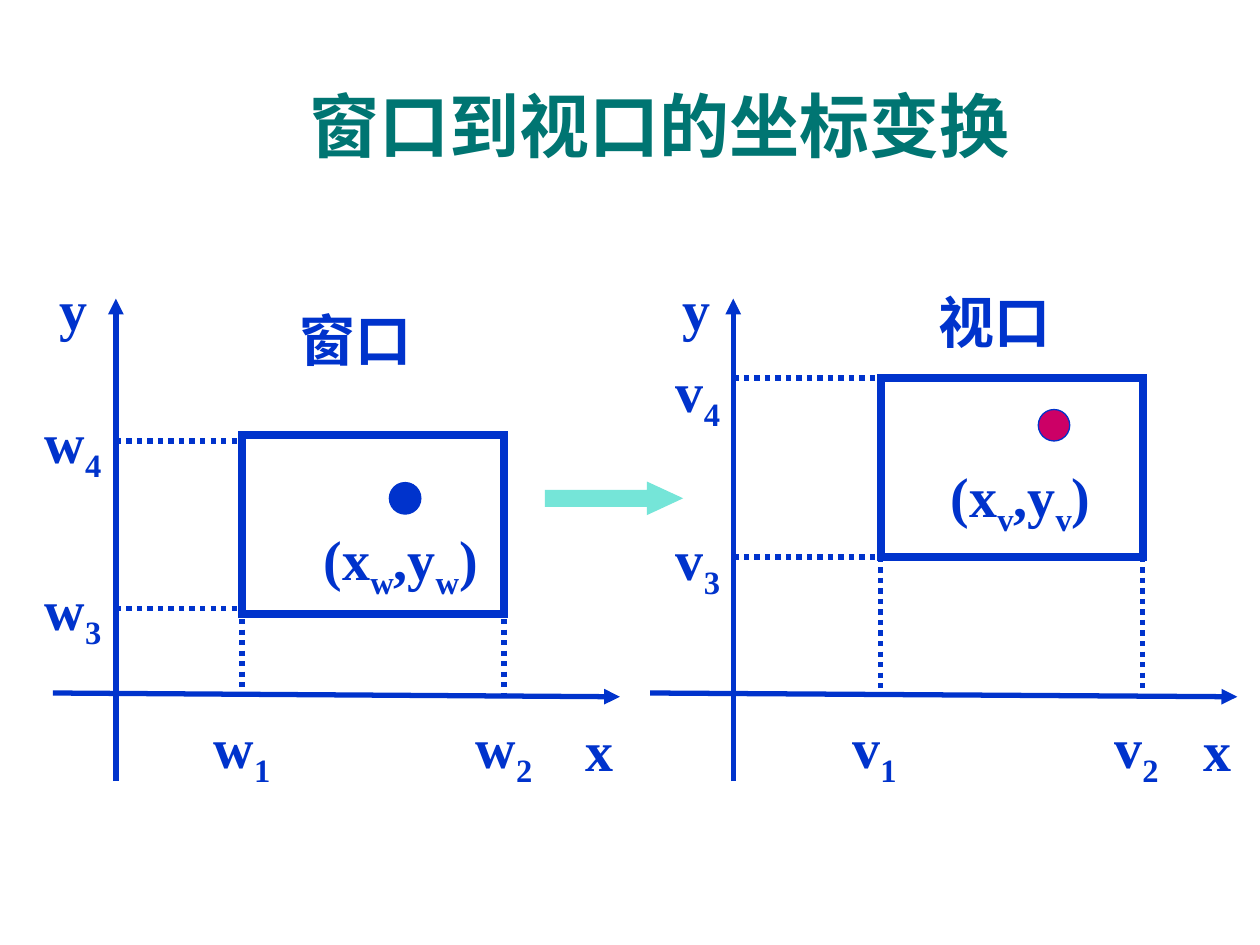
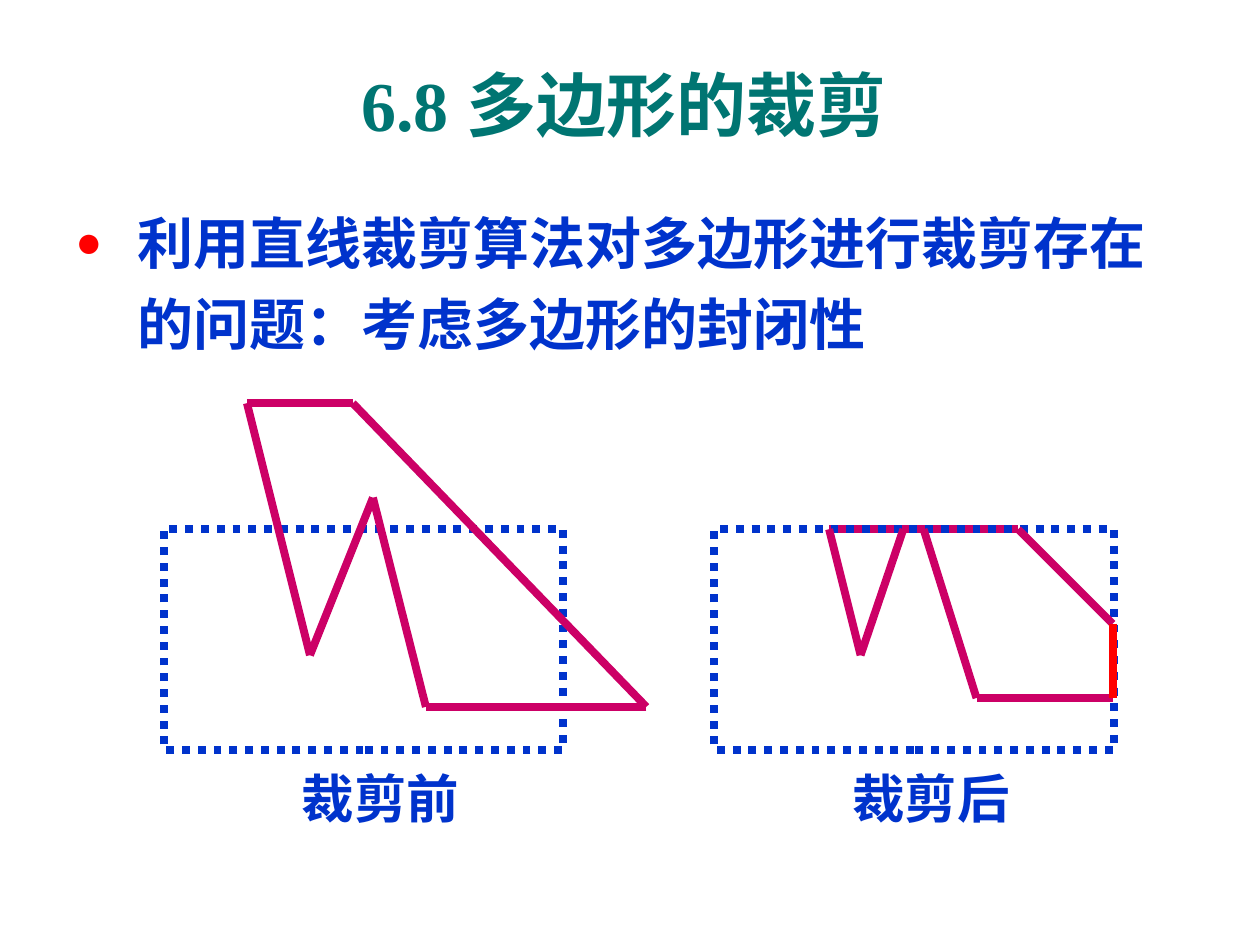
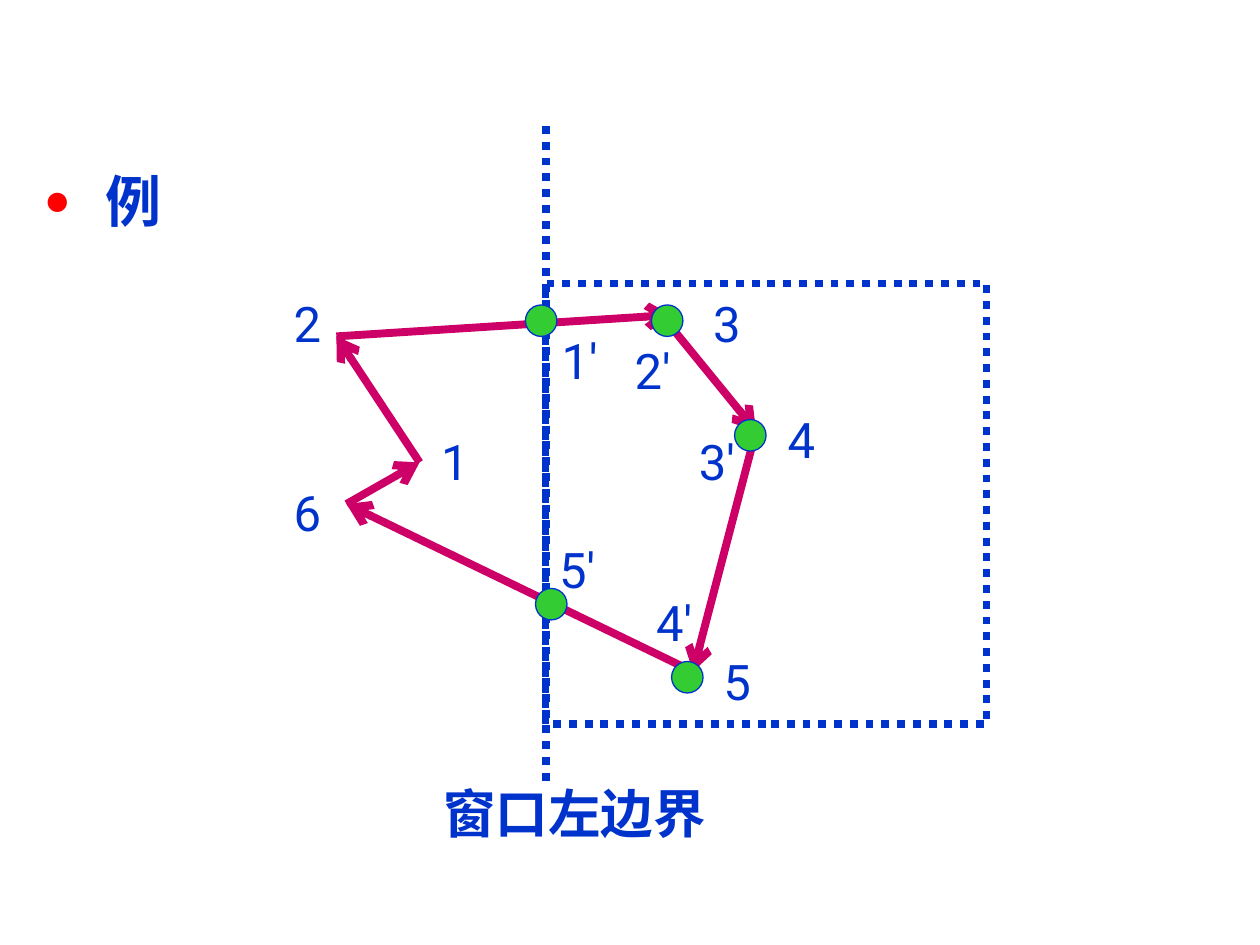
from dataclasses import dataclass

from lxml.etree import SubElement
from pptx import Presentation
from pptx.dml.color import RGBColor as RGB
from pptx.enum.dml import MSO_LINE as Dash
from pptx.enum.shapes import MSO_CONNECTOR as Connector, MSO_SHAPE as Shape
from pptx.enum.text import MSO_ANCHOR as Anchor, PP_ALIGN as Align
from pptx.oxml.ns import qn
from pptx.util import Inches, Pt


@dataclass(frozen=True)
class Theme:
    blue: RGB = RGB.from_string("0033CC")
    teal: RGB = RGB.from_string("007572")
    magenta: RGB = RGB.from_string("CC0066")
    red: RGB = RGB.from_string("FF0000")
    green: RGB = RGB.from_string("33CC33")
    aqua: RGB = RGB.from_string("75E5D8")
    serif: str = "Times New Roman"
    sans: str = "Roboto"
    latin: str = "Arial"
    chinese: str = "Noto Sans CJK SC"
    title: float = 40
    body: float = 32
    caption: float = 30
    digit: float = 28
    body_pitch: float = 46
    thick: float = 4.5
    medium: float = 3
    thin: float = 0.75
    dot: float = 0.25


THEME = Theme()


@dataclass(frozen=True)
class Panel:
    """One coordinate system; lengths are measured from its axis crossing."""
    letter: str
    name: str
    name_top: float
    dot_color: RGB
    origin: tuple
    axis_start: float
    y_label: float
    frame: tuple
    guides: tuple       # upper and lower dotted guide
    tick_x: float
    tick_tops: tuple    # labels of the upper and lower guide
    tick_shift: float   # labels on the x axis, from the frame sides
    dot: tuple          # from the frame corner
    point: tuple        # label centre and top, from the frame corner


PANELS = (
    Panel("w", "窗口", -3.07, THEME.blue, (0.92, 5.5), -0.5, -0.34, (1, -2.05),
          (-2, -0.67), -0.34, (-2.27, -0.94), 0, (1.17, 0.38), (1.26, 0.71)),
    Panel("v", "视口", -3.22, THEME.magenta, (5.82, 5.5), -0.66, -0.29, (1.17, -2.5),
          (-2.5, -1.08), -0.28, (-2.67, -1.34), -0.05, (1.25, 0.25), (1.11, 0.66)),
)
FRAME_SIZE = (2.08, 1.42)


# ---- shared parts ----

def style_run(run, size, color, font, bold=True):
    run.font.size = Pt(size)
    run.font.bold = bold
    run.font.color.rgb = color
    run.font.name = font
    SubElement(run._r.get_or_add_rPr(), qn("a:ea"), typeface=THEME.chinese)


def add_text(slide, left, top, width, height, inset=0.0):
    box = slide.shapes.add_textbox(*map(Inches, (left, top, width, height)))
    frame = box.text_frame
    frame.margin_left = frame.margin_right = Inches(inset)
    frame.margin_top = frame.margin_bottom = Inches(inset / 2)
    return frame


def add_label(slide, center, top, pieces, width=0.35, height=0.53,
              size=THEME.body, font=THEME.serif, bold=True):
    """Centred label; every second piece is a subscript."""
    frame = add_text(slide, center - width / 2, top, width, height)
    frame.word_wrap = False
    frame.vertical_anchor = Anchor.MIDDLE
    paragraph = frame.paragraphs[0]
    paragraph.alignment = Align.CENTER
    for index, piece in enumerate(pieces):
        run = paragraph.add_run()
        run.text = piece
        style_run(run, size, THEME.blue, font, bold)
        if index % 2:
            run._r.get_or_add_rPr().set("baseline", "-25000")


def add_caption(slide, center, top, caption, width):
    add_label(slide, center, top, [caption], width, 0.5, THEME.caption, THEME.chinese)


def add_title(slide, left, top, width, title, font):
    frame = add_text(slide, left, top, width, 0.77, 0.1)
    frame.word_wrap = True
    frame.vertical_anchor = Anchor.MIDDLE
    frame.text = title
    paragraph = frame.paragraphs[0]
    paragraph.alignment = Align.CENTER
    style_run(paragraph.runs[0], THEME.title, THEME.teal, font)


def add_bullet(slide, left, top, width, height, sentence, font):
    frame = add_text(slide, left, top, width, height, 0.1)
    frame.word_wrap = True
    frame.text = sentence
    paragraph = frame.paragraphs[0]
    paragraph.line_spacing = Pt(THEME.body_pitch)
    properties = paragraph._p.get_or_add_pPr()
    indent = Inches(0.49)
    properties.set("marL", str(indent))
    properties.set("indent", str(-indent))
    color = SubElement(properties, qn("a:buClr"))
    SubElement(color, qn("a:srgbClr"), val=str(THEME.red))
    SubElement(properties, qn("a:buSzPct"), val="80000")
    SubElement(properties, qn("a:buFont"), typeface=THEME.latin)
    SubElement(properties, qn("a:buChar"), char="●")
    style_run(paragraph.runs[0], THEME.body, THEME.blue, font)


def add_line(slide, start, end, color=THEME.blue, width=THEME.thick,
             dotted=False, arrow=None):
    line = slide.shapes.add_connector(Connector.STRAIGHT, *map(Inches, (*start, *end)))
    line.line.color.rgb = color
    line.line.width = Pt(width)
    if dotted:
        line.line.dash_style = Dash.ROUND_DOT
    if arrow:
        SubElement(line.line._get_or_add_ln(), qn("a:tailEnd"), type=arrow)
    SubElement(line._element.spPr, qn("a:effectLst"))


def add_path(slide, origin, points, color=THEME.magenta, arrow=None):
    corners = [shift(origin, *point) for point in points]
    for start, end in zip(corners, corners[1:]):
        add_line(slide, start, end, color, arrow=arrow)


def add_figure(slide, kind, corner, size, fill=None, line=THEME.blue,
               width=THEME.thick, dotted=False):
    figure = slide.shapes.add_shape(kind, *map(Inches, (*corner, *size)))
    figure.shadow.inherit = False
    if fill is None:
        figure.fill.background()
    else:
        figure.fill.solid()
        figure.fill.fore_color.rgb = fill
    figure.line.color.rgb = line
    figure.line.width = Pt(width)
    if dotted:
        figure.line.dash_style = Dash.ROUND_DOT
    # Sharp corners
    SubElement(figure.line._get_or_add_ln(), qn("a:miter"), lim="800000")
    return figure


def add_dot(slide, corner, color):
    add_figure(slide, Shape.OVAL, corner, (THEME.dot, THEME.dot), color, width=THEME.thin)


def shift(origin, dx, dy):
    return origin[0] + dx, origin[1] + dy


# ---- slide 1: window to viewport ----

def draw_panel(slide, panel):
    def at(dx, dy):
        return shift(panel.origin, dx, dy)

    left, top = panel.frame
    right = left + FRAME_SIZE[0]
    upper, lower = panel.guides

    # Axes and frame
    add_line(slide, at(0, 0.7), at(0, -3.13), width=THEME.medium, arrow="triangle")
    add_line(slide, at(panel.axis_start, 0), at(4, 0.03), width=THEME.medium, arrow="triangle")
    add_figure(slide, Shape.RECTANGLE, at(left, top), FRAME_SIZE)

    # Dotted guides
    for start, end in (((0, upper), (left, upper)), ((0, lower), (left, lower)),
                       ((left, lower), (left, 0)), ((right, lower), (right, 0))):
        add_line(slide, at(*start), at(*end), width=THEME.medium, dotted=True)

    # Axis names, frame name and ticks
    add_label(slide, *at(3.84, 0.18), ["x"], 0.3)
    add_label(slide, *at(panel.y_label, -3.32), ["y"], 0.3)
    add_label(slide, *at(left + 0.9, panel.name_top), [panel.name], 1)
    ticks = ((left + panel.tick_shift, 0.15), (right + panel.tick_shift, 0.15),
             (panel.tick_x, panel.tick_tops[1]), (panel.tick_x, panel.tick_tops[0]))
    for number, tick in enumerate(ticks, 1):
        add_label(slide, *at(*tick), [panel.letter, str(number)], 0.5, 0.61)

    # Mapped point
    corner = at(left, top)
    add_dot(slide, shift(corner, *panel.dot), panel.dot_color)
    add_label(slide, *shift(corner, *panel.point),
              ["(x", panel.letter, ",y", panel.letter, ")"], 1.4, 0.61)


def build_transform(slide):
    add_title(slide, 2.01, 0.6, 6.45, "窗口到视口的坐标变换", THEME.chinese)
    for panel in PANELS:
        draw_panel(slide, panel)
    arrow = add_figure(slide, Shape.RIGHT_ARROW, (4.33, 3.83), (1.08, 0.25),
                       THEME.aqua, THEME.aqua, THEME.thin)
    arrow.adjustments[0] = 0.5
    arrow.adjustments[1] = 1.08


# ---- slide 2: polygon clipping ----

def draw_clip_window(slide, origin, caption):
    add_figure(slide, Shape.RECTANGLE, origin, (3.17, 1.75), dotted=True)
    add_caption(slide, *shift(origin, 1.72, 1.88), caption, 1.45)


def draw_before(slide, origin):
    draw_clip_window(slide, origin, "裁剪前")
    add_path(slide, origin, [(0.66, -1), (1.5, -1), (3.83, 1.41), (2.08, 1.41),
                             (1.66, -0.25), (1.16, 1), (0.66, -1)])


def draw_after(slide, origin):
    # The top edge lies under the dotted window
    add_path(slide, origin, [(0.91, 0), (2.41, 0)])
    draw_clip_window(slide, origin, "裁剪后")
    for edges in ([(0.91, 0), (1.16, 1), (1.5, 0)],
                  [(1.66, 0), (2.08, 1.34), (3.16, 1.34)],
                  [(2.41, 0), (3.16, 0.75)]):
        add_path(slide, origin, edges)
    # Closing edge on the window boundary
    add_path(slide, origin, [(3.16, 0.75), (3.16, 1.34)], THEME.red)


def build_clipping(slide):
    add_title(slide, 0.69, 0.44, 8.52, "6.8 多边形的裁剪", THEME.serif)
    add_bullet(slide, 0.5, 1.5, 9, 1.38,
               "利用直线裁剪算法对多边形进行裁剪存在的问题：考虑多边形的封闭性", THEME.chinese)
    draw_before(slide, (1.3, 4.2))
    draw_after(slide, (5.67, 4.2))


# ---- slide 3: clipping against the left edge ----

def draw_left_clip(slide, origin):
    # Window, its left boundary and the directed polygon
    add_figure(slide, Shape.RECTANGLE, origin, (3.5, 3.5), dotted=True)
    add_path(slide, origin, [(0.92, 0.25), (1.67, 1.17), (1.17, 3.08), (-1.58, 1.75),
                             (-1, 1.42), (-1.66, 0.42), (1, 0.25)], arrow="arrow")
    add_line(slide, shift(origin, 0, -1.25), shift(origin, 0, 4), dotted=True)

    # Output vertices
    for corner in ((-0.16, 0.17), (0.84, 0.17), (1.5, 1.08), (1, 3), (-0.08, 2.42)):
        add_dot(slide, shift(origin, *corner), THEME.green)

    # Vertex numbers before and after clipping
    inputs = ((-0.72, 1.17), (-1.89, 0.08), (1.44, 0.08),
              (2.03, 1), (1.52, 2.92), (-1.89, 1.58))
    outputs = ((0.27, 0.37), (0.85, 0.45), (1.36, 1.17), (1.02, 2.45), (0.25, 2.03))
    for places, mark in ((inputs, ""), (outputs, "'")):
        for number, place in enumerate(places, 1):
            add_label(slide, *shift(origin, *place), [f"{number}{mark}"], 0.4, 0.47,
                      THEME.digit, THEME.sans, False)
    add_caption(slide, *shift(origin, 0.23, 3.95), "窗口左边界", 2.4)


def build_example(slide):
    add_bullet(slide, 0.25, 1.17, 4.42, 0.74, "例", THEME.latin)
    draw_left_clip(slide, (4.33, 2.25))


def main():
    deck = Presentation()
    deck.slide_width, deck.slide_height = Inches(10), Inches(7.5)
    blank = deck.slide_layouts[6]
    for build in (build_transform, build_clipping, build_example):
        build(deck.slides.add_slide(blank))
    deck.save("out.pptx")


if __name__ == "__main__":
    main()
